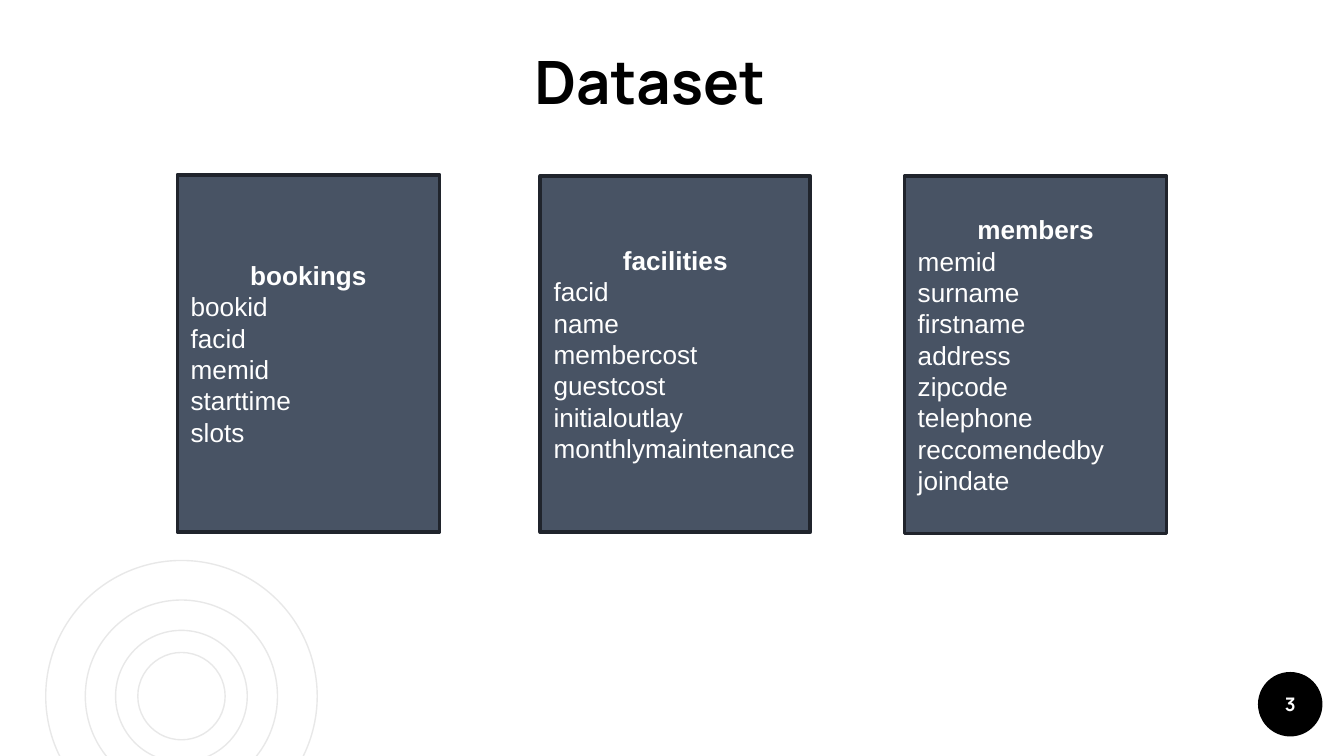
from pptx import Presentation
from pptx.dml.color import RGBColor
from pptx.enum.shapes import MSO_SHAPE
from pptx.enum.text import MSO_ANCHOR, PP_ALIGN
from pptx.util import Inches, Pt

BLACK = RGBColor(0x00, 0x00, 0x00)
WHITE = RGBColor(0xFF, 0xFF, 0xFF)
RING_GREY = RGBColor(0xE8, 0xE8, 0xE8)
SLATE = RGBColor(0x48, 0x53, 0x64)
DARK_SLATE = RGBColor(0x20, 0x24, 0x2C)

# Widescreen 16:9 slide
prs = Presentation()
prs.slide_width = Inches(10)
prs.slide_height = Inches(10) * 9 // 16
slide = prs.slides.add_slide(prs.slide_layouts[6])


def add_run(paragraph, text, size, font, color, bold):
    run = paragraph.add_run()
    run.text = text
    run.font.size = Pt(size)
    run.font.name = font
    run.font.color.rgb = color
    run.font.bold = bold


def set_frame(frame, anchor, side, top):
    frame.word_wrap = True
    frame.vertical_anchor = anchor
    frame.margin_left = frame.margin_right = Inches(side)
    frame.margin_top = frame.margin_bottom = Inches(top)


# Concentric rings in the lower left corner
RING_X, RING_Y = 1.35, 5.18
rings = slide.shapes.add_group_shape()
for diameter in (2.02, 0.98, 1.43, 0.65):
    ring = rings.shapes.add_shape(
        MSO_SHAPE.OVAL,
        Inches(RING_X - diameter / 2), Inches(RING_Y - diameter / 2),
        Inches(diameter), Inches(diameter))
    ring.shadow.inherit = False
    ring.fill.background()
    ring.line.color.rgb = RING_GREY
    ring.line.width = Pt(0.75)

# Page number badge
badge_box = (Inches(9.36), Inches(5), Inches(0.48), Inches(0.48))
badge = slide.shapes.add_shape(MSO_SHAPE.OVAL, *badge_box)
badge.shadow.inherit = False
badge.fill.solid()
badge.fill.fore_color.rgb = BLACK
badge.line.fill.background()

# Title, with a hanging indent
title = slide.shapes.add_textbox(Inches(2.19), Inches(0.4), Inches(5.04), Inches(0.57))
set_frame(title.text_frame, MSO_ANCHOR.BOTTOM, 0.1, 0.1)
heading = title.text_frame.paragraphs[0]
heading.alignment = PP_ALIGN.CENTER
heading.space_before = Pt(3.6)
heading_props = heading._p.get_or_add_pPr()
heading_props.set("marL", str(Inches(0.5)))
heading_props.set("indent", str(Inches(-0.25)))
add_run(heading, "Dataset", 32, "Manrope", BLACK, True)

# Page number
page_number = slide.shapes.add_textbox(*badge_box)
set_frame(page_number.text_frame, MSO_ANCHOR.MIDDLE, 0.1, 0.1)
number_line = page_number.text_frame.paragraphs[0]
number_line.alignment = PP_ALIGN.CENTER
add_run(number_line, "3", 10, "Manrope", WHITE, True)

# Dataset cards: name, left, top, width, height, field lines
cards = [
    ("bookings", 1.32, 1.3, 1.95, 2.66,
     ["bookid", "facid", "memid", "starttime", "slots"]),
    ("facilities", 4.02, 1.31, 2.01, 2.65,
     ["facid", "name", "membercost guestcost initialoutlay monthlymaintenance"]),
    ("members", 6.73, 1.31, 1.95, 2.66,
     ["memid", "surname", "firstname", "address", "zipcode",
      "telephone reccomendedby joindate"]),
]
for name, left, top, width, height, fields in cards:
    card = slide.shapes.add_shape(
        MSO_SHAPE.RECTANGLE, Inches(left), Inches(top), Inches(width), Inches(height))
    card.shadow.inherit = False
    card.fill.solid()
    card.fill.fore_color.rgb = SLATE
    card.line.color.rgb = DARK_SLATE
    card.line.width = Pt(2)
    set_frame(card.text_frame, MSO_ANCHOR.MIDDLE, 0.1, 0.05)
    name_line = card.text_frame.paragraphs[0]
    name_line.alignment = PP_ALIGN.CENTER
    add_run(name_line, name, 14, "Arial", WHITE, True)
    for field in fields:
        field_line = card.text_frame.add_paragraph()
        field_line.alignment = PP_ALIGN.LEFT
        add_run(field_line, field, 14, "Arial", WHITE, False)

prs.save("out.pptx")
